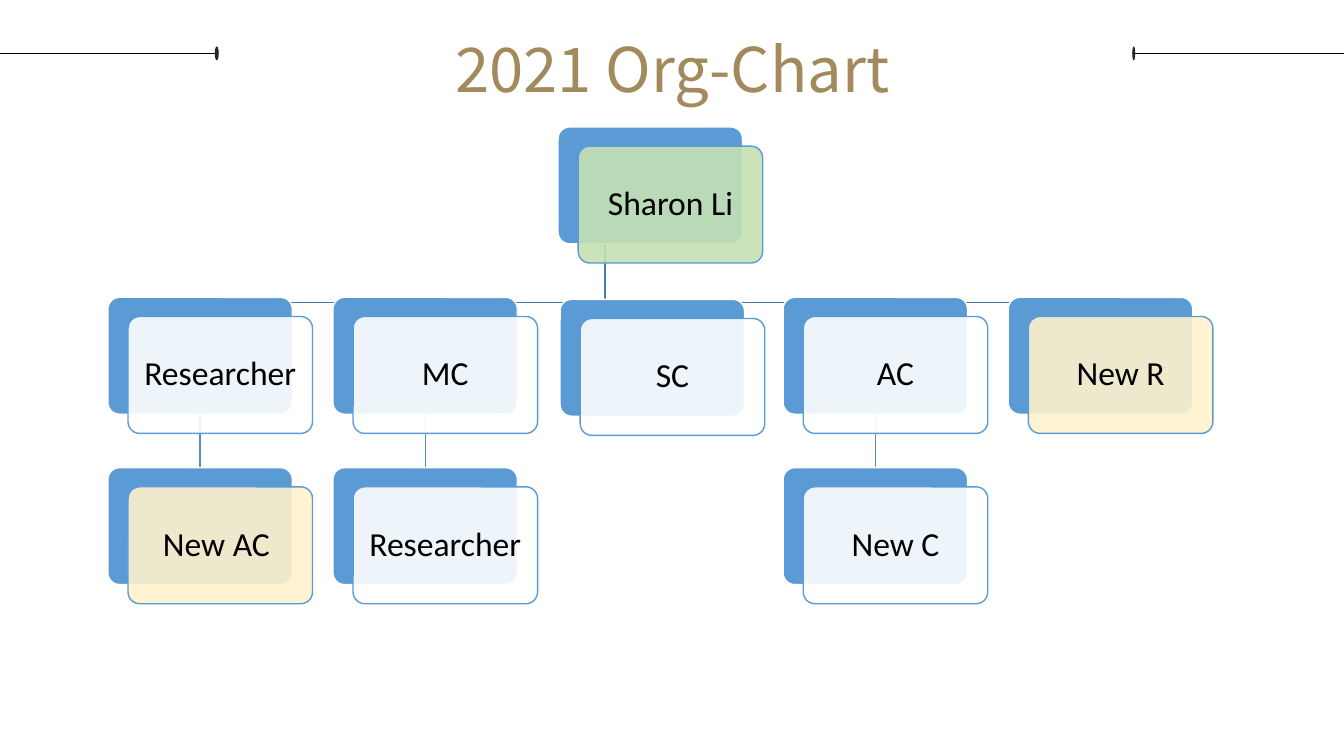
"""Build the 2021 organisation chart slide."""
from dataclasses import dataclass

from lxml.etree import SubElement
from pptx import Presentation
from pptx.dml.color import RGBColor
from pptx.enum.shapes import MSO_CONNECTOR as Connector, MSO_SHAPE as Shape
from pptx.enum.text import MSO_ANCHOR as Anchor, MSO_AUTO_SIZE as AutoSize, PP_ALIGN as Align
from pptx.oxml.ns import qn
from pptx.util import Inches, Pt


@dataclass(frozen=True)
class Theme:
    title: str = "A38A5D"
    ink: str = "000000"
    dot: str = "252525"
    blue: str = "5B9BD5"
    white: str = "FFFFFF"
    green: str = "C5E0B4"
    yellow: str = "FFF2CC"
    branch: str = "497CAB"
    twig: str = "538DC1"
    title_font: str = "Noto Sans CJK SC"
    card_font: str = "Calibri"
    title_size: int = 44
    card_size: int = 24
    rule: float = 0.75
    outline: float = 1


THEME = Theme()
TITLE = "2021 Org-Chart"
LEADER = ("Sharon Li", 2, 0, THEME.green)
TEAM = [
    ("Researcher", 0, 1, THEME.white),
    ("MC", 1, 1, THEME.white),
    ("SC", 2, 1, THEME.white),
    ("AC", 3, 1, THEME.white),
    ("New R", 4, 1, THEME.yellow),
]
REPORTS = [
    ("New AC ", 0, 2, THEME.yellow),
    ("Researcher ", 1, 2, THEME.white),
    ("New C", 3, 2, THEME.white),
]
NUDGES = {"SC": (0.02, 0.02)}
HEADER_RULES = [(-0.02, 2.14, 2.13, 0.04), (11.25, 13.33, 11.23, 0.03)]

SLIDE_WIDTH, SLIDE_HEIGHT = 13.33, 7.5
GRID_LEFT, GRID_TOP = 1.07, 1.26
COLUMN_STEP, ROW_STEP = 2.2325, 1.69
CARD_WIDTH, CARD_HEIGHT = 1.83, 1.16
FRONT_SHIFT = (0.2, 0.19)
ELBOW_RISE = 0.17
RULE_TOP = 0.53
DOT_HEIGHT = 0.14


def color(code):
    return RGBColor.from_string(code)


def corner(entry):
    name, column, row, _ = entry
    across, down = NUDGES.get(name, (0, 0))
    return GRID_LEFT + column * COLUMN_STEP + across, GRID_TOP + row * ROW_STEP + down


def set_line(shape, code, width):
    shape.line.color.rgb = color(code)
    shape.line.width = Pt(width)


def write(shape, text, font, size, code, spacing):
    paragraph = shape.text_frame.paragraphs[0]
    paragraph.text = text
    paragraph.alignment = Align.CENTER
    paragraph.line_spacing = spacing
    paragraph.font.name = font
    paragraph.font.size = Pt(size)
    paragraph.font.color.rgb = color(code)


def add_solid(page, kind, left, top, width, height, fill):
    shape = page.shapes.add_shape(kind, Inches(left), Inches(top), Inches(width), Inches(height))
    shape.shadow.inherit = False
    shape.fill.solid()
    shape.fill.fore_color.rgb = color(fill)
    return shape


def add_straight(page, start, end, code, width):
    ends = [Inches(value) for value in (*start, *end)]
    line = page.shapes.add_connector(Connector.STRAIGHT, *ends)
    set_line(line, code, width)
    SubElement(line._element.spPr, qn("a:effectLst"))


def add_branch(page, parent, child):
    left, top = corner(parent)
    child_left, child_top = corner(child)
    start_x, end_x = left + CARD_WIDTH / 2, child_left + CARD_WIDTH / 2
    elbow = child_top - ELBOW_RISE
    builder = page.shapes.build_freeform(start_x, top + CARD_HEIGHT, Inches(1))
    builder.add_line_segments([(start_x, elbow), (end_x, elbow), (end_x, child_top)], close=False)
    branch = builder.convert_to_shape()
    branch.shadow.inherit = False
    branch.fill.background()
    set_line(branch, THEME.branch, THEME.outline)


def add_twig(page, report):
    left, top = corner(report)
    center = left + CARD_WIDTH / 2
    start = top - ROW_STEP + CARD_HEIGHT
    add_straight(page, (center, start), (center, top), THEME.twig, THEME.outline)


def add_card(page, entry):
    name, _, _, fill = entry
    left, top = corner(entry)
    across, down = FRONT_SHIFT
    layers = [(left, top, THEME.blue, THEME.white), (left + across, top + down, fill, THEME.blue)]
    for x, y, paint, edge in layers:
        card = add_solid(page, Shape.ROUNDED_RECTANGLE, x, y, CARD_WIDTH, CARD_HEIGHT, paint)
        card.adjustments[0] = 0.1
        set_line(card, edge, THEME.outline)
    paint = card._element.spPr.find(qn("a:solidFill"))
    SubElement(paint[0], qn("a:alpha"), val="90000")
    frame = card.text_frame
    frame.word_wrap = True
    frame.vertical_anchor = Anchor.MIDDLE
    frame.margin_left = frame.margin_right = Inches(0.1)
    frame.margin_top = frame.margin_bottom = Inches(0.1)
    write(card, name, THEME.card_font, THEME.card_size, THEME.ink, 0.9)


def add_header(page):
    for start, end, dot_left, dot_width in HEADER_RULES:
        add_straight(page, (start, RULE_TOP), (end, RULE_TOP), THEME.ink, THEME.rule)
        dot_top = RULE_TOP - DOT_HEIGHT / 2
        dot = add_solid(page, Shape.OVAL, dot_left, dot_top, dot_width, DOT_HEIGHT, THEME.dot)
        dot.line.fill.background()
    box = page.shapes.add_textbox(Inches(2.1), Inches(-0.11), Inches(9.14), Inches(1.08))
    box.text_frame.word_wrap = True
    box.text_frame.auto_size = AutoSize.SHAPE_TO_FIT_TEXT
    write(box, TITLE, THEME.title_font, THEME.title_size, THEME.title, 1.5)


def main():
    deck = Presentation()
    deck.slide_width, deck.slide_height = Inches(SLIDE_WIDTH), Inches(SLIDE_HEIGHT)
    page = deck.slides.add_slide(deck.slide_layouts[6])
    add_header(page)
    for member in TEAM:
        add_branch(page, LEADER, member)
    for report in REPORTS:
        add_twig(page, report)
    for entry in [LEADER, *TEAM, *REPORTS]:
        add_card(page, entry)
    deck.save("out.pptx")


if __name__ == "__main__":
    main()
